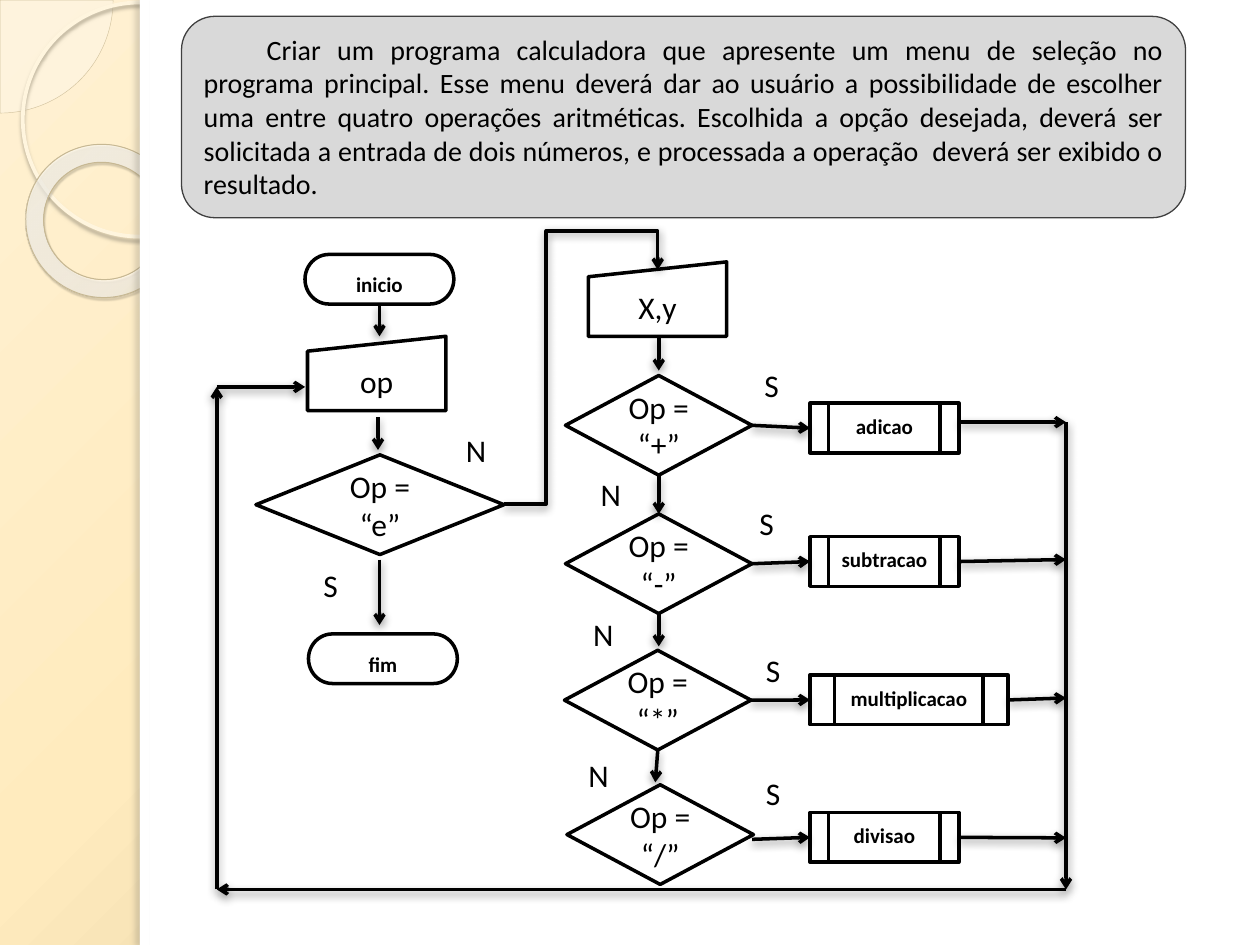
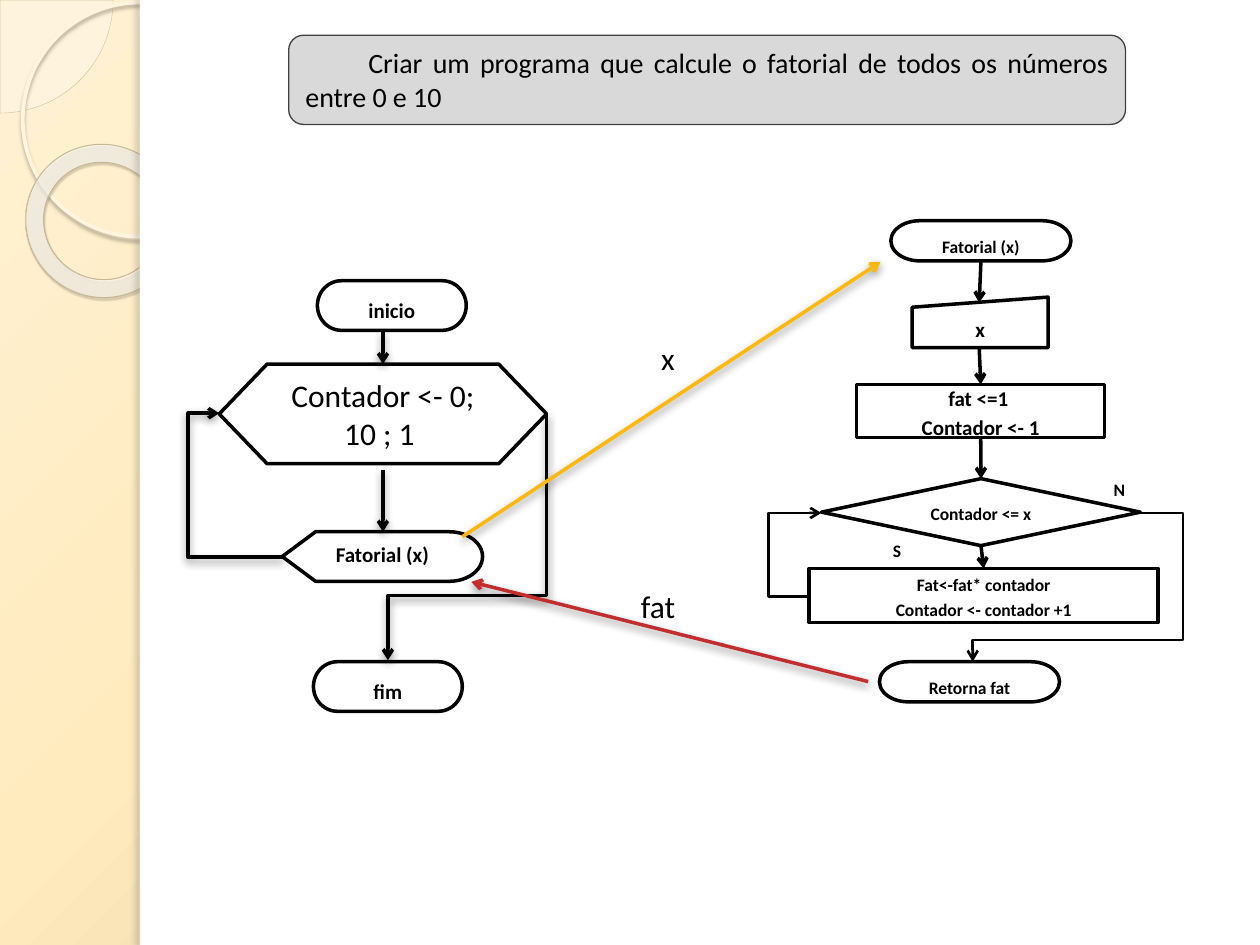
from lxml import etree
from pptx import Presentation
from pptx.dml.color import RGBColor
from pptx.enum import shapes as es, text as et
from pptx.oxml import parse_xml
from pptx.oxml.ns import nsdecls, qn
from pptx.util import Cm, Pt

# Colours
BLACK = RGBColor(0x00, 0x00, 0x00)
WHITE = RGBColor(0xFF, 0xFF, 0xFF)
GREY = RGBColor(0xD9, 0xD9, 0xD9)
DARK = RGBColor(0x40, 0x40, 0x40)
GOLD = RGBColor(0xFE, 0xB8, 0x0A)
RED = RGBColor(0xC3, 0x2D, 0x2E)
CREAM = RGBColor(0xFE, 0xFA, 0xF4)
SAND = RGBColor(0xD3, 0xC3, 0x9F)
PALE = RGBColor(0xFF, 0xF5, 0xDE)
TAN = RGBColor(0xC7, 0xB8, 0x93)
BACK = [(0, RGBColor(0xFF, 0xF1, 0xD3), 100), (40, RGBColor(0xFF, 0xEB, 0xBE), 100),
        (100, RGBColor(0xC9, 0xB4, 0x84), 100)]
RING = [(0, RGBColor(0xFF, 0xFC, 0xF6), 70), (70, RGBColor(0xFF, 0xFE, 0xFB), 55),
        (100, RGBColor(0xF0, 0xD2, 0x8E), 60)]

# Shadows: colour, opacity, blur, distance, angle
SOFT = (BLACK, 43, 5, 2, 90)
HALO = (RGBColor(0xB0, 0xA6, 0x8F), 85, 2, 2, 90)
DEEP = (RGBColor(0x5A, 0x54, 0x44), 35, 1, 1.2, 75)
EDGE = (RGBColor(0x73, 0x6F, 0x63), 25, 3, 3, 180)

KIND = es.MSO_SHAPE
TERM, TEST = KIND.FLOWCHART_TERMINATOR, KIND.FLOWCHART_DECISION
CALL, ASK = KIND.FLOWCHART_PREDEFINED_PROCESS, KIND.FLOWCHART_MANUAL_INPUT
SHOW, LOOP, RECT = KIND.FLOWCHART_DISPLAY, KIND.HEXAGON, KIND.RECTANGLE
JOIN = (TERM, TEST, CALL, RECT)

# Text formats
HEAD = dict(size=16, align="JUSTIFY", top=True)
BIG = dict(size=18)
NAME = dict(size=12, bold=True, top=True, lead=1.15)
MINI = dict(NAME, size=10)
STEP = dict(NAME, top=False)
TINY = dict(MINI, top=False)
TAG = dict(size=18, align="LEFT", top=True, wrap=False)
MARK = dict(MINI, align="LEFT", after=10)

# Slide 1: sign, routine, its width, diamond x and y, routine y, "S" place, arrow in and out
OPS = [
    ("+", "adicao", 3, 11.4, 7.57, 8.13, (15.16, 7.26), 8.56, 8.51),
    ("-", "subtracao", 3, 11.4, 10.36, 10.82, (15.06, 10.03), 11.33, 11.28),
    ("*", "multiplicacao", 3.99, 11.38, 13.11, 13.61, (15.19, 13), 14.12, 14.07),
    ("/", "divisao", 3, 11.43, 15.82, 16.38, (15.19, 15.47), 16.92, 16.89),
]
LEFT, RIGHT, FOOT, BACKIN = 4.37, 21.49, 17.93, 7.8
CALC = dict(
    note=((3.66, 0.33, 20.24, 4.06),
          "\tCriar um programa calculadora que apresente um menu de seleção no programa "
          "principal. Esse menu deverá dar ao usuário a possibilidade de escolher uma entre "
          "quatro operações aritméticas. Escolhida a opção desejada, deverá ser solicitada a "
          "entrada de dois números, e processada a operação  deverá ser exibido o resultado."),
    boxes=[
        (TERM, (6.15, 5.13, 3, 1), "inicio", NAME),
        (ASK, (6.2, 6.78, 2.79, 1.5), "op", BIG),
        (TEST, (5.16, 9.17, 5, 2.01), "Op = “e”", BIG),
        (TERM, (6.22, 12.78, 3, 1), "fim", NAME),
        (ASK, (11.86, 5.28, 2.79, 1.5), "X,y", BIG),
    ],
    tags=[("S", (6.27, 11.28, 0.81, 1.02), TAG), ("N", (9.14, 8.56, 0.91, 1.02), TAG),
          ("N", (11.86, 9.45, 0.91, 1.02), TAG), ("N", (11.71, 12.27, 0.91, 1.02), TAG),
          ("N", (11.61, 15.11, 0.91, 1.02), TAG)],
    lines=[
        ((7.65, 6.12), (7.65, 6.78)), ((7.62, 8.41), (7.62, 9.07)),
        ((7.65, 11.28), (7.65, 12.6)), ((13.28, 6.78), (13.28, 7.47)),
        ((13.28, 9.63), (13.28, 10.29)), ((13.28, 12.37), (13.28, 13.03)),
        ((13.21, 15.11), (13.21, 15.77)),
        ((RIGHT, 8.51), (RIGHT, FOOT)), ((RIGHT, FOOT), (LEFT, FOOT)),
        ((LEFT, FOOT), (LEFT, BACKIN)), ((LEFT, BACKIN), (6.15, BACKIN)),
    ],
    bends=[((10.16, 10.16), (13.26, 5.44), (0.275, 1.166), 0, {})],
)
for sign, name, wide, x, y, row, spot, into, out in OPS:
    CALC["boxes"] += [(TEST, (x, y, 3.76, 2.01), f"Op = “{sign}”", BIG),
                      (CALL, (16.33, row, wide, 1), name, NAME)]
    CALC["tags"].append(("S", (*spot, 0.81, 1.02), TAG))
    CALC["lines"] += [((15.16, into), (16.33, into)), ((16.33 + wide, out), (RIGHT, out))]

# Slide 2: lines of the right-hand chart are flat, without a shadow
FLAT = dict(shade=None)
THIN = dict(shade=None, width=1.5)
FACT = dict(
    note=((5.82, 0.71, 16.87, 1.8),
          "\tCriar um programa que calcule o fatorial de todos os números entre 0 e 10"),
    boxes=[
        (TERM, (6.4, 5.66, 3, 1), "inicio", NAME),
        (LOOP, (4.42, 7.34, 6.6, 2.01), "Contador <- 0; 10 ; 1 ", BIG),
        (SHOW, (5.69, 10.72, 4.04, 1), "Fatorial (x)", NAME),
        (TERM, (6.32, 13.34, 3, 1), "fim", NAME),
        (TERM, (17.96, 4.45, 3.63, 0.81), "Fatorial (x)", MINI),
        (ASK, (18.39, 5.99, 2.74, 1.02), "x", dict(STEP, after=10)),
        (RECT, (17.27, 7.75, 5, 1.07), "fat <=1 \nContador <- 1", STEP),
        (TEST, (16.56, 9.65, 6.43, 1.35), "Contador <= x", dict(TINY, after=10)),
        (RECT, (16.31, 11.46, 7.04, 1.09), "Fat<-fat* contador\nContador <- contador +1", TINY),
        (TERM, (17.73, 13.34, 3.63, 0.81), "Retorna fat", MINI),
    ],
    tags=[("N", (22.2, 9.47, 1.52, 0.76), MARK), ("S", (17.75, 10.69, 1.52, 0.76), MARK),
          ("fat", (12.67, 11.71, 1.22, 1.02), TAG), ("x", (13.08, 6.71, 0.79, 1.02), TAG)],
    lines=[
        ((7.72, 6.68), (7.72, 7.34)), ((7.72, 9.47), (7.72, 10.72)),
        ((19.76, 5.26), (19.74, 6.1), FLAT), ((19.74, 6.99), (19.76, 7.75), FLAT),
        ((19.76, 8.81), (19.76, 9.65), FLAT), ((19.76, 11), (19.81, 11.46), FLAT),
        ((9.32, 10.82), (17.75, 5.28), dict(ink=GOLD)),
        ((17.5, 13.74), (9.5, 11.73), dict(ink=RED)),
    ],
    bends=[
        ((4.42, 8.33), (5.7, 11.23), (1.492,), 180, {}),
        ((6.93, 9.22), (11.91, 12.42), (0.738,), 90, {}),
        ((16.56, 10.34), (16.31, 12.02), (-3.286,), 180, THIN),
        ((22.99, 10.34), (19.61, 13.34), (-0.255, 0.854), 0, THIN),
    ],
)


def sub(node, tag, **attrs):
    return etree.SubElement(node, qn(tag), {k: str(v) for k, v in attrs.items()})


def tint(node, ink, alpha):
    sub(sub(node, "a:srgbClr", val=ink), "a:alpha", val=alpha * 1000)


def blend(fill, root, stops, rect):
    """Give a fill a circular gradient."""
    fill.gradient()
    old = root.find(".//" + qn("a:gradFill"))
    new = parse_xml(f'<a:gradFill {nsdecls("a")} rotWithShape="1"/>')
    stack = sub(new, "a:gsLst")
    for pos, ink, alpha in stops:
        tint(sub(stack, "a:gs", pos=pos * 1000), ink, alpha)
    sides = {k: v * 1000 for k, v in zip("ltrb", rect)}
    sub(sub(new, "a:path", path="circle"), "a:fillToRect", **sides)
    old.getparent().replace(old, new)


def cast(effects, shade):
    ink, alpha, blur, dist, angle = shade
    tint(sub(effects, "a:outerShdw", blurRad=Pt(blur), dist=Pt(dist), dir=angle * 60000,
             algn="ctr", rotWithShape=0), ink, alpha)


def draw(slide, kind, box, fill=None, line=None, width=2, shade=None):
    shape = slide.shapes.add_shape(kind, *map(Cm, box))
    if fill is None:
        shape.fill.background()
    else:
        shape.fill.solid()
        shape.fill.fore_color.rgb = fill
    if line is None:
        shape.line.fill.background()
    else:
        shape.line.color.rgb = line
        shape.line.width = Pt(width)
    shape.shadow.inherit = False
    if shade:
        cast(shape.element.spPr.find(qn("a:effectLst")), shade)
    return shape


def write(shape, words, size=18, bold=False, align="CENTER", top=False,
          wrap=True, lead=None, after=None):
    frame = shape.text_frame
    frame.word_wrap = wrap
    frame.vertical_anchor = et.MSO_ANCHOR.TOP if top else et.MSO_ANCHOR.MIDDLE
    for i, words in enumerate(words.split("\n")):
        para = frame.add_paragraph() if i else frame.paragraphs[0]
        para.alignment = et.PP_ALIGN[align]
        if lead:
            para.line_spacing = lead
        if after:
            para.space_after = Pt(after)
        run = para.add_run()
        run.text = words
        run.font.name, run.font.size = "Calibri", Pt(size)
        run.font.bold, run.font.color.rgb = bold, BLACK


def link(slide, start, end, kind="STRAIGHT", ink=BLACK, width=2, shade=SOFT):
    line = slide.shapes.add_connector(es.MSO_CONNECTOR[kind], *map(Cm, (*start, *end)))
    line.line.color.rgb = ink
    line.line.width = Pt(width)
    sub(line.line._get_or_add_ln(), "a:tailEnd", type="arrow")
    effects = sub(line.element.spPr, "a:effectLst")
    if shade:
        cast(effects, shade)
    return line


def bend(slide, start, end, adjs, turn, fmt):
    """Draw an elbow arrow; its bends follow from the number of adjustments."""
    props = link(slide, start, end, "ELBOW", **fmt).element.spPr
    if turn:
        props.find(qn("a:xfrm")).set("rot", str(turn * 60000))
    geom = props.find(qn("a:prstGeom"))
    geom.set("prst", f"bentConnector{len(adjs) + 2}")
    guides = geom.find(qn("a:avLst"))
    if guides is None:
        guides = sub(geom, "a:avLst")
    for i, adj in enumerate(adjs, 1):
        sub(guides, "a:gd", name=f"adj{i}", fmla=f"val {round(adj * 100000)}")


def site(boxes, x, y):
    """Find the box and side whose middle lies at this point."""
    for box in boxes:
        if box.auto_shape_type in JOIN:
            l, t, w, h = box.left, box.top, box.width, box.height
            mids = [(l + w / 2, t), (l, t + h / 2), (l + w / 2, t + h), (l + w, t + h / 2)]
            for side, (mx, my) in enumerate(mids):
                if max(abs(mx - Cm(x)), abs(my - Cm(y))) < Cm(0.08):
                    return box, side
    return None


def side(slide):
    """Draw the ornament at the left and the white page."""
    pie = draw(slide, KIND.PIE, (-2.27, -2.27, 4.55, 4.55), CREAM, SAND, 0.25)
    pie.adjustments[0], pie.adjustments[1] = 0, 54
    sub(pie.element.spPr.find(qn("a:solidFill"))[0], "a:alpha", val=33000)
    draw(slide, KIND.OVAL, (0.46, 0.05, 4.72, 4.72), None, PALE, 2.15, HALO)
    ring = draw(slide, KIND.DONUT, (0.51, 2.92, 3.12, 3.07), WHITE, TAN, 0.58, DEEP)
    ring.adjustments[0] = 0.118
    ring.rotation = 38.6
    blend(ring.fill, ring.element, RING, (-408, -50, 508, 150))
    draw(slide, RECT, (2.82, 0, 22.58, 19.05), WHITE)
    draw(slide, RECT, (2.82, 0, 0.2, 19.05), WHITE, shade=EDGE)


def build(deck, page):
    slide = deck.slides.add_slide(deck.slide_layouts[6])
    side(slide)
    box, words = page["note"]
    write(draw(slide, KIND.ROUNDED_RECTANGLE, box, GREY, DARK, 0.75), words, **HEAD)
    # Steps
    boxes = []
    for kind, box, words, fmt in page["boxes"]:
        shape = draw(slide, kind, box, WHITE, BLACK)
        if kind == LOOP:
            shape.adjustments[0] = 0.481
        write(shape, words, **fmt)
        boxes.append(shape)
    # Arrows
    for item in page["bends"]:
        bend(slide, *item)
    for start, end, *fmt in page["lines"]:
        line = link(slide, start, end, **(fmt[0] if fmt else {}))
        for point, hook in ((start, line.begin_connect), (end, line.end_connect)):
            found = site(boxes, *point)
            if found:
                hook(*found)
    # Branch labels
    for words, box, fmt in page["tags"]:
        write(slide.shapes.add_textbox(*map(Cm, box)), words, **fmt)


def main():
    deck = Presentation()
    deck.slide_width, deck.slide_height = Cm(25.4), Cm(19.05)
    master = deck.slide_master
    blend(master.background.fill, master.element, BACK, (-24, -20, 124, 120))
    for page in (CALC, FACT):
        build(deck, page)
    deck.save("out.pptx")


if __name__ == "__main__":
    main()
